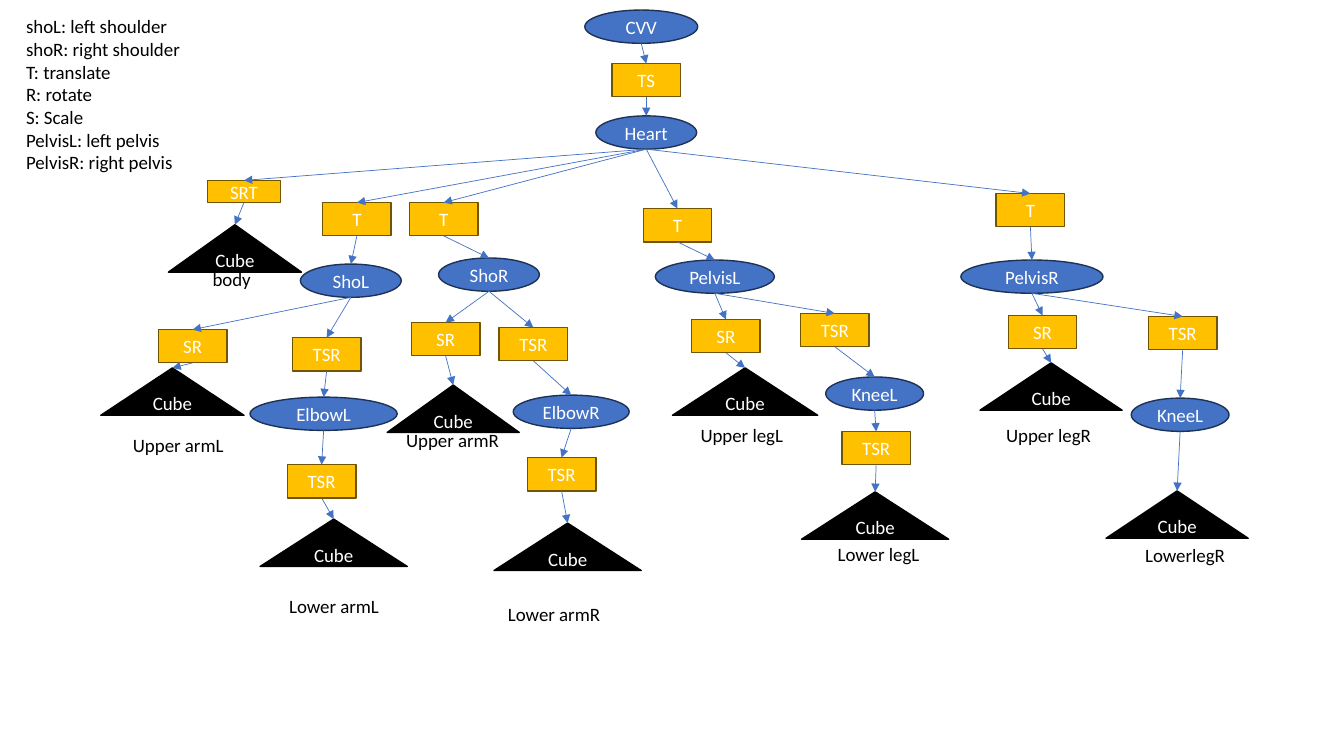
from lxml.etree import SubElement
from pptx import Presentation
from pptx.dml.color import RGBColor
from pptx.enum.shapes import MSO_CONNECTOR, MSO_SHAPE
from pptx.enum.text import MSO_ANCHOR, MSO_AUTO_SIZE, PP_ALIGN
from pptx.oxml.ns import qn
from pptx.util import Pt

PX = 9144  # 100 px to the inch

COLORS = {
    "joint": "4472C4", "joint edge": "1E3256",
    "transform": "FFC000", "transform edge": "705400",
    "cube": "000000", "cube edge": "000000",
    "arrow": "4472C4", "white": "FFFFFF", "black": "000000",
}
# kind: preset shape, height
KINDS = {
    "joint": (MSO_SHAPE.OVAL, 33),
    "transform": (MSO_SHAPE.RECTANGLE, 33),
    "cube": (MSO_SHAPE.ISOSCELES_TRIANGLE, 47),
}
# key, parent key, kind, text, left, top, width; parents come first
NODES = [
    ("view", None, "joint", "CVV", 580, 10, 112),
    ("view move", "view", "transform", "TS", 607, 63, 68),
    ("heart", "view move", "joint", "Heart", 591, 115, 100),
    ("body move", "heart", "transform", "SRT", 206, 179, 72),
    ("body", "body move", "cube", "Cube", 167, 223, 132),
    # left arm
    ("shoulder L move", "heart", "transform", "T", 320, 201, 68),
    ("shoulder L", "shoulder L move", "joint", "ShoL", 298, 262, 100),
    ("upper arm L move", "shoulder L", "transform", "SR", 157, 327, 68),
    ("upper arm L", "upper arm L move", "cube", "Cube", 100, 365, 142),
    ("elbow L move", "shoulder L", "transform", "TSR", 290, 335, 68),
    ("elbow L", "elbow L move", "joint", "ElbowL", 248, 394, 146),
    ("lower arm L move", "elbow L", "transform", "TSR", 285, 461, 68),
    ("lower arm L", "lower arm L move", "cube", "Cube", 258, 515, 146),
    # right arm
    ("shoulder R move", "heart", "transform", "T", 406, 201, 68),
    ("shoulder R", "shoulder R move", "joint", "ShoR", 435, 256, 100),
    ("upper arm R move", "shoulder R", "transform", "SR", 408, 320, 68),
    ("upper arm R", "upper arm R move", "cube", "Cube", 384, 382, 131),
    ("elbow R move", "shoulder R", "transform", "TSR", 495, 325, 68),
    ("elbow R", "elbow R move", "joint", "ElbowR", 509, 392, 115),
    ("lower arm R move", "elbow R", "transform", "TSR", 523, 454, 68),
    ("lower arm R", "lower arm R move", "cube", "Cube", 490, 519, 146),
    # left leg
    ("pelvis L move", "heart", "transform", "T", 638, 207, 68),
    ("pelvis L", "pelvis L move", "joint", "PelvisL", 650, 258, 118),
    ("upper leg L move", "pelvis L", "transform", "SR", 686, 317, 68),
    ("upper leg L", "upper leg L move", "cube", "Cube", 667, 365, 144),
    ("knee L move", "pelvis L", "transform", "TSR", 794, 311, 68),
    ("knee L", "knee L move", "joint", "KneeL", 819, 374, 97),
    ("lower leg L move", "knee L", "transform", "TSR", 835, 428, 68),
    ("lower leg L", "lower leg L move", "cube", "Cube", 795, 488, 146),
    # right leg
    ("pelvis R move", "heart", "transform", "T", 988, 192, 68),
    ("pelvis R", "pelvis R move", "joint", "PelvisR", 953, 258, 141),
    ("upper leg R move", "pelvis R", "transform", "SR", 1000, 313, 68),
    ("upper leg R", "upper leg R move", "cube", "Cube", 972, 360, 141),
    ("knee R move", "pelvis R", "transform", "TSR", 1139, 314, 68),
    ("knee R", "knee R move", "joint", "KneeL", 1122, 395, 97),
    ("lower leg R", "knee R", "cube", "Cube", 1097, 487, 141),
]
# text, left, top, width
LABELS = [
    ("body", 201, 261, 84),
    ("Upper armL", 122, 425, 149),
    ("Upper armR", 393, 420, 155),
    ("Lower armL", 277, 585, 136),
    ("Lower armR", 494, 593, 186),
    ("Upper legL", 685, 415, 106),
    ("Lower legL", 821, 533, 106),
    ("Upper legR", 988, 415, 109),
    ("LowerlegR", 1126, 534, 109),
]
LEGEND = [
    "shoL: left shoulder", "shoR: right shoulder", "T: translate", "R: rotate",
    "S: Scale", "PelvisL: left pelvis", "PelvisR: right pelvis",
]


def write(shape, text, color, align):
    frame = shape.text_frame
    frame.text = text
    for para in frame.paragraphs:
        para.alignment = align
        for span in para.runs:
            span.font.name = "Calibri"
            span.font.size = Pt(13.5)
            span.font.color.rgb = RGBColor.from_string(COLORS[color])


def add_label(text, left, top, width, height, wrap):
    box = page.shapes.add_textbox(left * PX, top * PX, width * PX, height * PX)
    write(box, text, "black", PP_ALIGN.LEFT)
    box.text_frame.word_wrap = wrap
    box.text_frame.auto_size = MSO_AUTO_SIZE.SHAPE_TO_FIT_TEXT


deck = Presentation()
deck.slide_width = 1333 * PX
deck.slide_height = 750 * PX
page = deck.slides.add_slide(deck.slide_layouts[6])

shapes = {}
for key, parent, kind, text, left, top, width in NODES:
    preset, height = KINDS[kind]
    if key == "body move":
        height = 22
    shape = page.shapes.add_shape(preset, left * PX, top * PX, width * PX, height * PX)
    shape.shadow.inherit = False
    shape.fill.solid()
    shape.fill.fore_color.rgb = RGBColor.from_string(COLORS[kind])
    shape.line.color.rgb = RGBColor.from_string(COLORS[kind + " edge"])
    shape.line.width = Pt(1)
    write(shape, text, "white", PP_ALIGN.CENTER)
    shape.text_frame.vertical_anchor = MSO_ANCHOR.MIDDLE
    shapes[key] = shape

for text, left, top, width in LABELS:
    add_label(text, left, top, width, 33, True)
add_label("\n".join(LEGEND), 16, 10, 175, 169, False)

for key, parent, *rest in NODES:
    if parent is None:
        continue
    start, end = shapes[parent], shapes[key]
    arrow = page.shapes.add_connector(
        MSO_CONNECTOR.STRAIGHT,
        start.left + start.width // 2, start.top + start.height,
        end.left + end.width // 2, end.top,
    )
    if start.auto_shape_type == MSO_SHAPE.RECTANGLE:
        arrow.begin_connect(start, 2)
    if end.auto_shape_type == MSO_SHAPE.RECTANGLE:
        arrow.end_connect(end, 0)
    arrow.line.color.rgb = RGBColor.from_string(COLORS["arrow"])
    arrow.line.width = Pt(0.5)
    SubElement(arrow.line._get_or_add_ln(), qn("a:tailEnd"), type="triangle")
    SubElement(arrow._element.spPr, qn("a:effectLst"))

deck.save("out.pptx")
